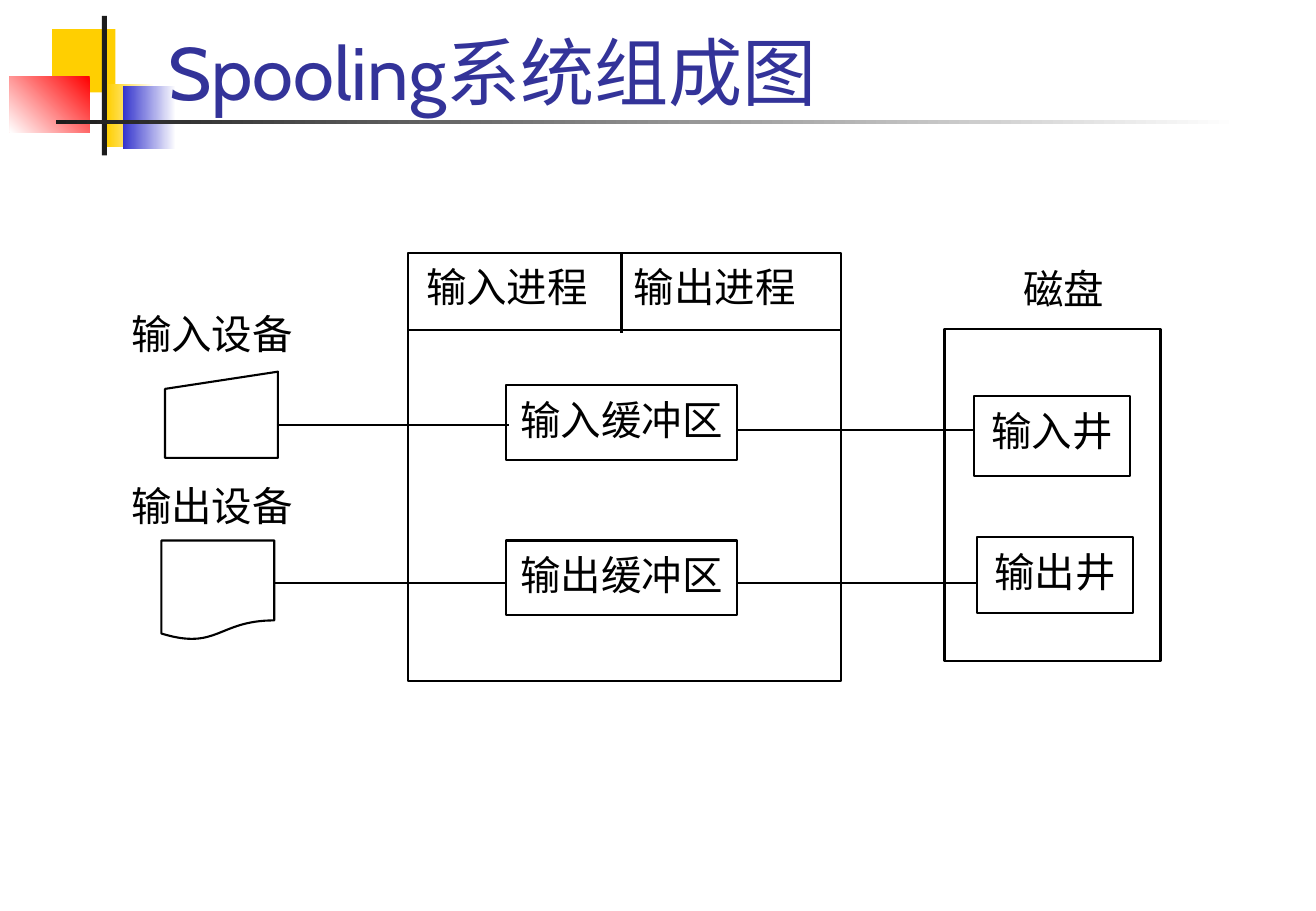
import pptx
import pptx.dml.color
import pptx.enum.shapes
import pptx.enum.text
import pptx.oxml
import pptx.oxml.ns
import pptx.util

SHAPE = pptx.enum.shapes.MSO_SHAPE
ALIGN = pptx.enum.text.PP_ALIGN
ANCHOR = pptx.enum.text.MSO_ANCHOR
PX = 9144


def rgb(value):
    return pptx.dml.color.RGBColor.from_string(value)


class Diagram:
    ink = "000000"
    paper = "FFFFFF"
    font = "Times New Roman"
    size = 24
    weight = 1.25

    def __init__(self, slide):
        self.s = slide

    def place(self, kind, box):
        sp = self.s.shapes.add_shape(kind, *(v * PX for v in box))
        sp.shadow.inherit = False
        return sp

    def ornament(self, box, color):
        sp = self.place(SHAPE.RECTANGLE, box)
        sp.fill.solid()
        sp.fill.fore_color.rgb = rgb(color)
        sp.line.fill.background()
        return sp

    def fade(self, box, start, end, angle):
        sp = self.ornament(box, start)
        sp.fill.gradient()
        sp.fill.gradient_angle = angle
        for stop, color in zip(sp.fill.gradient_stops, (start, end)):
            stop.color.rgb = rgb(color)

    def node(self, box, kind=SHAPE.RECTANGLE, text=None):
        sp = self.place(kind, box)
        sp.fill.solid()
        sp.fill.fore_color.rgb = rgb(self.paper)
        sp.line.color.rgb = rgb(self.ink)
        sp.line.width = pptx.util.Pt(self.weight)
        if text:
            self.set_text(sp, text, (0, 8, 0, 0), ALIGN.CENTER)
        return sp

    def label(self, box, text, **style):
        sp = self.s.shapes.add_textbox(*(v * PX for v in box))
        self.set_text(sp, text, **style)

    def set_text(self, sp, text, insets=(0, 0, 0, 0), align=ALIGN.LEFT,
                 anchor=ANCHOR.TOP, size=None, font=None, color=None, tab=None):
        tf = sp.text_frame
        tf.word_wrap = True
        tf.vertical_anchor = anchor
        tf.margin_left, tf.margin_top, tf.margin_right, tf.margin_bottom = (
            v * PX for v in insets)
        tf.text = text
        p = tf.paragraphs[0]
        p.alignment = align
        if tab:
            p._p.get_or_add_pPr().append(pptx.oxml.parse_xml(
                f'<a:tabLst {pptx.oxml.ns.nsdecls("a")}>'
                f'<a:tab pos="{tab * PX}" algn="l"/></a:tabLst>'))
        for r in p.runs:
            r.font.size = pptx.util.Pt(size or self.size)
            r.font.name = font or self.font
            r.font.color.rgb = rgb(color or self.ink)

    def line(self, x1, y1, x2, y2):
        ln = self.s.shapes.add_connector(
            pptx.enum.shapes.MSO_CONNECTOR.STRAIGHT,
            *(v * PX for v in (x1, y1, x2, y2)))
        ln.line.color.rgb = rgb(self.ink)
        ln.line.width = pptx.util.Pt(self.weight)
        ln._element.spPr.append(pptx.oxml.parse_xml(
            f'<a:effectLst {pptx.oxml.ns.nsdecls("a")}/>'))


def main():
    prs = pptx.Presentation()
    prs.slide_width, prs.slide_height = 1084 * PX, 750 * PX
    d = Diagram(prs.slides.add_slide(prs.slide_layouts[6]))

    d.ornament((43, 24, 52, 52), "FFCF01")
    d.fade((88, 69, 39, 52), "FFFFFF", "FFCF01", 180)
    d.fade((101, 71, 44, 52), "FFFFFF", "3333CC", 180)
    d.fade((8, 63, 66, 46), "FF0000", "FFFFFF", 225)
    d.ornament((84, 13, 4, 115), "1C1C1C")
    d.fade((46, 99, 975, 3), "FFFFFF", "1C1C1C", 180)
    d.label((129, 17, 923, 83), "Spooling系统组成图", insets=(10, 5, 10, 5),
            anchor=ANCHOR.BOTTOM, size=44, font="Cabin", color="333399")

    memory = d.node((336, 208, 357, 353))
    d.set_text(memory, "输入进程\t输出进程", insets=(15, 8, 0, 0), tab=171)
    d.line(336, 272, 693, 272)
    d.line(512, 208, 512, 274)

    d.node((136, 306, 93, 71), SHAPE.FLOWCHART_MANUAL_INPUT)
    d.node((133, 445, 93, 82), SHAPE.FLOWCHART_DOCUMENT)
    d.node((778, 271, 178, 273))

    for box, text in (
        ((417, 317, 190, 62), "输入缓冲区"),
        ((417, 445, 190, 61), "输出缓冲区"),
        ((802, 326, 129, 66), "输入井"),
        ((805, 442, 128, 63), "输出井"),
    ):
        d.node(box, text=text)

    for box, text in (
        ((108, 254, 144, 46), "输入设备"),
        ((108, 396, 147, 51), "输出设备"),
        ((843, 217, 105, 51), "磁盘"),
    ):
        d.label(box, text)

    for x1, x2, y in ((228, 419, 350), (226, 417, 480),
                      (607, 803, 354), (607, 805, 480)):
        d.line(x1, y, x2, y)

    prs.save("out.pptx")


if __name__ == "__main__":
    main()
